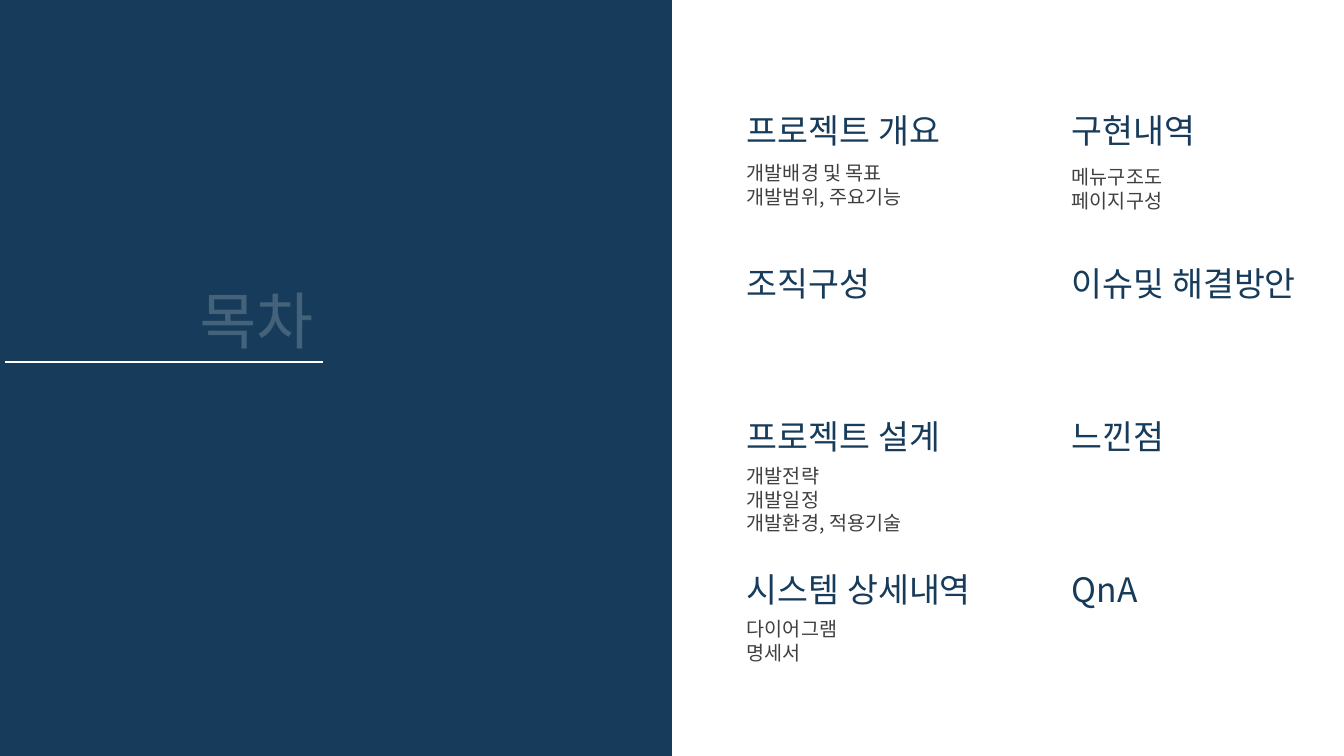
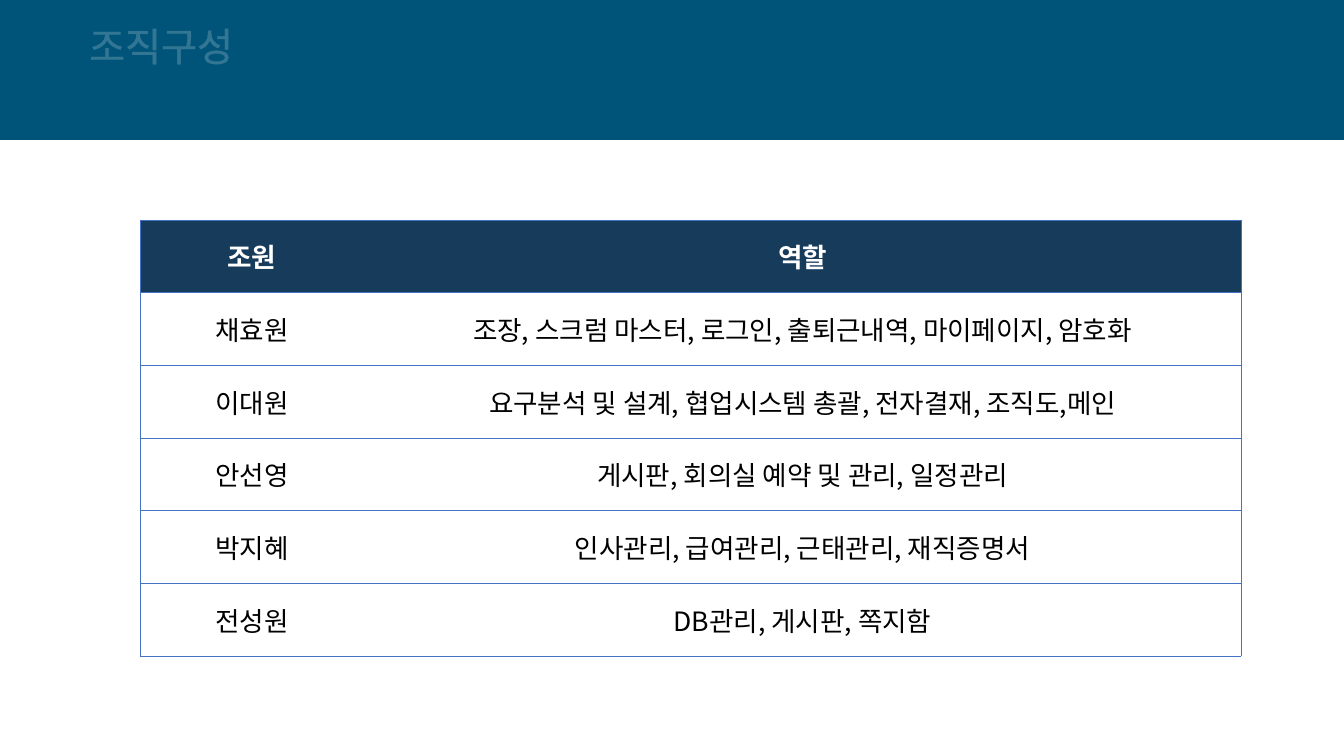
"""Build the contents slide and the team roles slide."""
import pptx
import pptx.dml.color
import pptx.enum.shapes
import pptx.enum.text
import pptx.oxml
import pptx.oxml.ns
import pptx.util

RGB = pptx.dml.color.RGBColor
ALIGN = pptx.enum.text.PP_ALIGN
ANCHOR = pptx.enum.text.MSO_ANCHOR

FONT = "Noto Sans CJK KR"
NAVY = RGB(0x17, 0x3B, 0x5A)
TEAL = RGB(0x00, 0x54, 0x7A)
MINT = RGB(0xB0, 0xD2, 0xD3)
GRAY = RGB(0x40, 0x40, 0x40)
BLUE = RGB(0x44, 0x72, 0xC4)
WHITE = RGB(0xFF, 0xFF, 0xFF)
BLACK = RGB(0x00, 0x00, 0x00)

WIDE, HIGH = 1344, 756
TOP, STEP = 105, 153

TOPICS = [
    (737, [
        ("프로젝트 개요", 51, ["개발배경 및 목표", "개발범위, 주요기능"]),
        ("조직구성", 0, []),
        ("프로젝트 설계", 48, ["개발전략", "개발일정", "개발환경, 적용기술"]),
        ("시스템 상세내역", 48, ["다이어그램", "명세서"]),
    ]),
    (1062, [
        ("구현내역", 55, ["메뉴구조도", "페이지구성"]),
        ("이슈및 해결방안", 0, []),
        ("느낀점", 0, []),
        ("QnA", 0, []),
    ]),
]

ROLES = [
    ("조원", "역할"),
    ("채효원", "조장, 스크럼 마스터, 로그인, 출퇴근내역, 마이페이지, 암호화"),
    ("이대원", "요구분석 및 설계, 협업시스템 총괄, 전자결재, 조직도,메인"),
    ("안선영", "게시판, 회의실 예약 및 관리, 일정관리"),
    ("박지혜", "인사관리, 급여관리, 근태관리, 재직증명서"),
    ("전성원", "DB관리, 게시판, 쪽지함"),
]


def px(num):
    """Turn pixels into EMU."""
    return pptx.util.Emu(round(num * 914400 / 100.8))


def node(text):
    """Parse one drawing element."""
    return pptx.oxml.parse_xml(text.replace(">", f" {pptx.oxml.ns.nsdecls('a')}>", 1))


def write(para, text, size, color, bold=False, edge=None):
    """Add one styled run, with a faint outline if an edge colour is given."""
    run = para.add_run()
    run.text = text
    font = run.font
    font.name, font.size, font.bold = FONT, pptx.util.Pt(size), bold
    font.color.rgb = color
    props = font._element
    props.find(pptx.oxml.ns.qn("a:latin")).addnext(
        node(f'<a:ea typeface="{FONT}"></a:ea>'))
    if edge is not None:
        props.insert(0, node(
            f'<a:ln w="9525"><a:solidFill><a:srgbClr val="{edge}">'
            '<a:alpha val="20000"/></a:srgbClr></a:solidFill></a:ln>'))


def fill(shape, lines, size, color, edge, align=ALIGN.LEFT, wrap=True):
    """Write paragraphs with a fixed pitch into a shape."""
    frame = shape.text_frame
    frame.word_wrap = wrap
    frame.auto_size = pptx.enum.text.MSO_AUTO_SIZE.NONE
    frame.vertical_anchor = ANCHOR.TOP
    for index, line in enumerate(lines):
        para = frame.add_paragraph() if index else frame.paragraphs[0]
        para.alignment = align
        para.line_spacing = pptx.util.Pt(round(size * 1.2, 1))
        para.space_before = pptx.util.Pt(0)
        write(para, line, size, color, edge=edge)


def label(slide, box, lines, size, color, edge, wrap=True):
    """Add a text box."""
    shape = slide.shapes.add_textbox(*map(px, box))
    fill(shape, lines, size, color, edge, wrap=wrap)


def start(deck, panel, color, text, box, size, edge, align=ALIGN.LEFT):
    """Add a slide with a colour panel behind its title."""
    slide = deck.slides.add_slide(deck.slide_layouts[5])
    shape = slide.shapes.add_shape(
        pptx.enum.shapes.MSO_SHAPE.RECTANGLE, 0, 0, *map(px, panel))
    shape.shadow.inherit = False
    shape.fill.solid()
    shape.fill.fore_color.rgb = color
    shape.line.fill.background()
    title = slide.shapes.title
    title._element.addprevious(shape._element)
    title.left, title.top, title.width, title.height = map(px, box)
    fill(title, [text], size, WHITE, edge, align)
    return slide


def rule(slide, left, right, top):
    """Draw a white level line."""
    line = slide.shapes.add_connector(
        pptx.enum.shapes.MSO_CONNECTOR.STRAIGHT,
        px(left), px(top), px(right), px(top))
    line.line.color.rgb = WHITE
    line.line.width = pptx.util.Pt(1)
    line._element.spPr.append(node("<a:effectLst></a:effectLst>"))


def frame(cell, open_side):
    """Draw the cell borders, leaving one side open."""
    props = cell._tc.get_or_add_tcPr()
    for index, side in enumerate("LRTB"):
        paint = ("<a:noFill/>" if side == open_side else
                 f'<a:solidFill><a:srgbClr val="{BLUE}"/></a:solidFill>')
        props.insert(index, node(f'<a:ln{side} w="6350">{paint}</a:ln{side}>'))


def grid(slide, box, widths, rows):
    """Add the table of members and roles."""
    table = slide.shapes.add_table(len(rows), len(widths), *map(px, box)).table
    table.horz_banding = False
    for column, width in zip(table.columns, widths):
        column.width = px(width)
    for r, row in enumerate(rows):
        head = r == 0
        for c, text in enumerate(row):
            cell = table.cell(r, c)
            cell.vertical_anchor = ANCHOR.MIDDLE
            if head:
                cell.fill.solid()
                cell.fill.fore_color.rgb = NAVY
            else:
                cell.fill.background()
            frame(cell, "L" if c else "R")
            para = cell.text_frame.paragraphs[0]
            para.alignment = ALIGN.CENTER
            write(para, text, 19, WHITE if head else BLACK, bold=head)


def topics(deck):
    """Build the contents slide."""
    slide = start(deck, (672, HIGH), NAVY, "목차", (23, 277, 300, 85), 44,
                  MINT, ALIGN.RIGHT)
    for left, items in TOPICS:
        for index, (head, gap, lines) in enumerate(items):
            top = TOP + index * STEP
            label(slide, (left, top, 253, 50), [head], 24, NAVY, MINT, wrap=False)
            if lines:
                label(slide, (left, top + gap, 180, 82), lines, 14, GRAY, GRAY)
    rule(slide, 5, 323, 362)


def roles(deck):
    """Build the team roles slide."""
    slide = start(deck, (WIDE, 140), TEAL, "조직구성", (79, 17, 300, 57), 28,
                  WHITE)
    grid(slide, (140, 220, 1101, 436), (224, 877), ROLES)


def main():
    """Build and save the deck."""
    deck = pptx.Presentation()
    deck.slide_width, deck.slide_height = px(WIDE), px(HIGH)
    topics(deck)
    roles(deck)
    deck.save("out.pptx")


if __name__ == "__main__":
    main()
